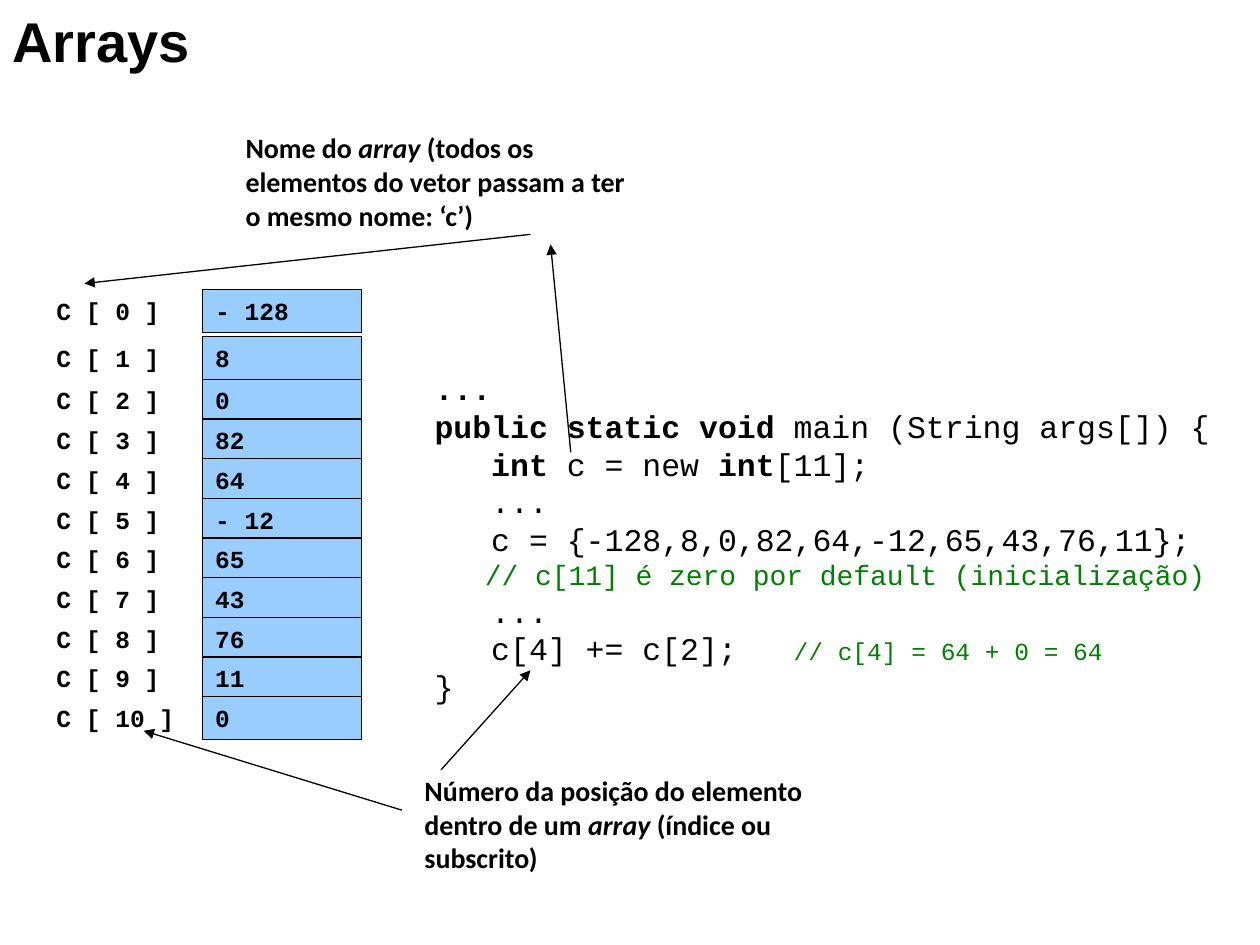
from pptx import Presentation, util as u
from pptx.dml.color import RGBColor
from pptx.enum import shapes, text
from pptx.oxml.ns import qn
from lxml import etree

THEME = {
    "black": "000000", "cell": "99CCFF", "comment": "008000",
    "title_font": "Arial", "note_font": "Calibri", "code_font": "Courier New",
    "title_size": 32, "code_size": 18, "note_size": 16, "small_size": 14,
    "line_width": 0.75,
}

TITLE = "Arrays"
VALUES = ["- 128", "8", "0", "82", "64", "- 12", "65", "43", "76", "11", "0"]

# Runs are (wording, style letters): b bold, i italic, c comment, s small.
NAME_NOTE = [("Nome do ", "b"), ("array", "bi"),
             (" (todos os elementos do vetor passam a ter o mesmo nome: ‘c’)", "b")]
INDEX_NOTE = [("Número da posição do elemento dentro de um ", "b"), ("array", "bi"),
              (" (índice ou subscrito)", "b")]
# Code lines are (indent in characters, runs).
CODE = [
    (0, [("...", "b")]),
    (0, [("public static void", "b"), (" main (String args[]) {", "")]),
    (3, [("int", "b"), (" c = new ", ""), ("int", "b"), ("[11];", "")]),
    (3, [("...", "")]),
    (3, [("c = {-128,8,0,82,64,-12,65,43,76,11};", "")]),
    (3, [("// c[11] é zero por default (inicialização)", "c")]),
    (3, [("...", "")]),
    (3, [("c[4] += c[2];   ", ""), ("// c[4] = 64 + 0 = 64", "cs")]),
    (0, [("}", "")]),
]

# Inches
SLIDE_WIDTH, SLIDE_HEIGHT = 10, 7.5
LABEL_LEFT, LABEL_WIDTH, LABEL_HEIGHT = 0.35, 1.34, 0.33
CELL_LEFT, CELL_WIDTH, CELL_HEIGHT = 1.61, 1.26, 0.34
FIRST_ROWS, EVEN_ROWS_TOP, ROW_STEP = [2.3, 2.67], 3.01, 0.315
NOTE_WIDTH, NOTE_HEIGHT = 3.31, 0.9
CHARACTER_SHARE = 0.6  # width of a Courier New character per point of size

# Arrows run from the first point to the tip.
ARROWS = [
    ((4.53, 3.59), (4.37, 1.94)),
    ((4.21, 1.86), (0.67, 2.25)),
    ((3.5, 6.11), (4.21, 5.32)),
    ((3.19, 6.43), (1.14, 5.8)),
]


def color(name):
    return RGBColor.from_string(THEME[name])


def inches(*lengths):
    return [u.Inches(length) for length in lengths]


def add_runs(paragraph, runs, font, size):
    paragraph.alignment = text.PP_ALIGN.LEFT
    for wording, style in runs:
        run = paragraph.add_run()
        run.text = wording
        run.font.name = THEME[font]
        run_size = "small_size" if "s" in style else "note_size" if "c" in style else size
        run.font.size = u.Pt(THEME[run_size])
        run.font.bold = "b" in style
        run.font.italic = "i" in style
        run.font.color.rgb = color("comment" if "c" in style else "black")


def prepare_frame(shape):
    frame = shape.text_frame
    frame.word_wrap = True
    frame.auto_size = text.MSO_AUTO_SIZE.SHAPE_TO_FIT_TEXT
    frame.vertical_anchor = text.MSO_ANCHOR.TOP
    return frame


def add_text(parent, box, runs, font, size):
    frame = prepare_frame(parent.add_textbox(*inches(*box)))
    add_runs(frame.paragraphs[0], runs, font, size)


def add_array(slide):
    for index, value in enumerate(VALUES):
        if index < len(FIRST_ROWS):
            top = FIRST_ROWS[index]
        else:
            top = EVEN_ROWS_TOP + ROW_STEP * (index - len(FIRST_ROWS))
        row = slide.shapes.add_group_shape().shapes
        add_text(row, (LABEL_LEFT, top, LABEL_WIDTH, LABEL_HEIGHT),
                 [(f"C [ {index} ]", "b")], "code_font", "small_size")
        cell = row.add_shape(shapes.MSO_SHAPE.RECTANGLE,
                             *inches(CELL_LEFT, top, CELL_WIDTH, CELL_HEIGHT))
        cell.shadow.inherit = False
        cell.fill.solid()
        cell.fill.fore_color.rgb = color("cell")
        cell.line.color.rgb = color("black")
        cell.line.width = u.Pt(THEME["line_width"])
        add_runs(prepare_frame(cell).paragraphs[0], [(value, "b")],
                 "code_font", "small_size")


def add_code(slide, box):
    frame = prepare_frame(slide.shapes.add_textbox(*inches(*box)))
    for number, (indent, runs) in enumerate(CODE):
        paragraph = frame.add_paragraph() if number else frame.paragraphs[0]
        add_runs(paragraph, runs, "code_font", "code_size")
        size = paragraph.runs[0].font.size
        properties = paragraph._p.get_or_add_pPr()
        properties.set("marL", str(int(indent * CHARACTER_SHARE * size)))
        properties.set("indent", "0")


def add_arrow(slide, start, tip):
    arrow = slide.shapes.add_connector(shapes.MSO_CONNECTOR.STRAIGHT,
                                       *inches(*start, *tip))
    arrow.line.color.rgb = color("black")
    arrow.line.width = u.Pt(THEME["line_width"])
    etree.SubElement(arrow.line._get_or_add_ln(), qn("a:tailEnd"), type="triangle")
    etree.SubElement(arrow._element.spPr, qn("a:effectLst"))


def main():
    presentation = Presentation()
    presentation.slide_width, presentation.slide_height = inches(SLIDE_WIDTH, SLIDE_HEIGHT)
    slide = presentation.slides.add_slide(presentation.slide_layouts[6])
    add_text(slide.shapes, (0, 0, SLIDE_WIDTH, 0.64), [(TITLE, "b")],
             "title_font", "title_size")
    add_array(slide)
    for left, top, runs in [(1.85, 0.99, NAME_NOTE), (3.27, 6.09, INDEX_NOTE)]:
        add_text(slide.shapes, (left, top, NOTE_WIDTH, NOTE_HEIGHT), runs,
                 "note_font", "note_size")
    add_code(slide, (3.35, 2.88, 6.65, 3.07))
    for start, tip in ARROWS:
        add_arrow(slide, start, tip)
    presentation.save("out.pptx")


if __name__ == "__main__":
    main()
